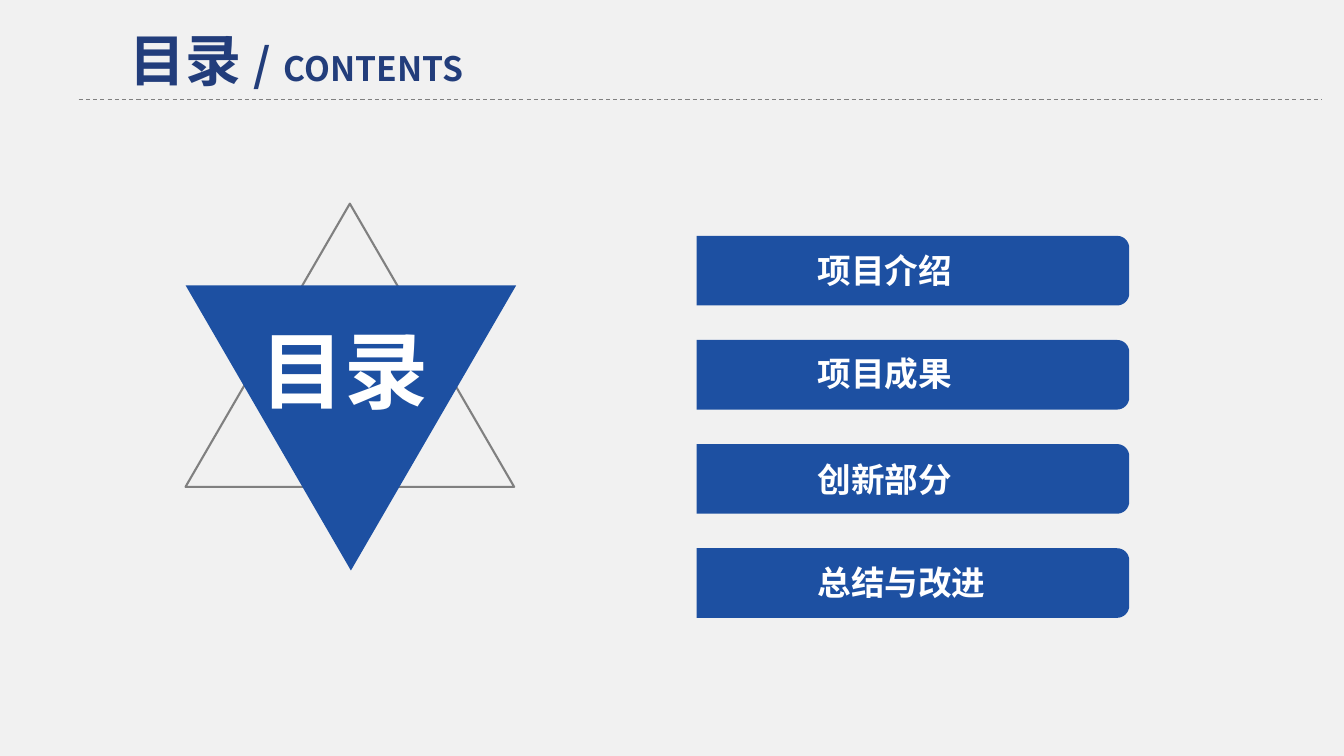
from dataclasses import dataclass
from math import cos, pi, sin

from pptx import Presentation
from pptx.dml.color import RGBColor
from pptx.enum.dml import MSO_LINE_DASH_STYLE as Dash
from pptx.enum.shapes import MSO_CONNECTOR as Connector, MSO_SHAPE as Preset
from pptx.enum.text import MSO_ANCHOR as Anchor, MSO_AUTO_SIZE as AutoSize, PP_ALIGN as Align
from pptx.oxml.ns import qn
from pptx.util import Inches, Pt

FONT = "Noto Sans CJK SC"
COLORS = {"background": "F1F1F1", "blue": "1D50A2", "navy": "223D7B",
          "gray": "808080", "white": "FFFFFF"}

BAR_LEFT, BAR_TOP, BAR_WIDTH, BAR_HEIGHT = 6.91, 2.34, 4.29, 0.69
BAR_PITCH, BAR_RADIUS, ARC_STEPS = 1.033, 0.12, 8


@dataclass
class Entry:
    label: str
    label_top: float
    label_width: float = 1.83


@dataclass
class Triangle:
    left: float
    top: float
    width: float
    height: float
    rotation: float = 0
    fill: str | None = None
    line: str | None = None


ENTRIES = [
    Entry("项目介绍", 2.43),
    Entry("项目成果", 3.45),
    Entry("创新部分", 4.5),
    Entry("总结与改进", 5.53, 2.18),
]
TRIANGLES = [
    Triangle(1.84, 2.02, 3.26, 2.81, line="gray"),
    Triangle(1.84, 2.83, 3.28, 2.83, rotation=180, fill="blue"),
]
TITLE_RUNS = [("目录 ", 40), ("/", 32), (" ", 40), ("CONTENTS", 24)]


def color(name: str) -> RGBColor:
    return RGBColor.from_string(COLORS[name])


def paint(shape, fill: str | None = None, line: str | None = None) -> None:
    shape.shadow.inherit = False
    if fill:
        shape.fill.solid()
        shape.fill.fore_color.rgb = color(fill)
    else:
        shape.fill.background()
    if line:
        shape.line.color.rgb = color(line)
        shape.line.width = Pt(1.5)
    else:
        shape.line.fill.background()


def add_run(paragraph, text: str, size: float, color_name: str) -> None:
    run = paragraph.add_run()
    run.text = text
    for name, value in {"name": FONT, "size": Pt(size), "bold": True}.items():
        setattr(run.font, name, value)
    run.font.color.rgb = color(color_name)
    properties = run.font._element
    east_asian = properties.makeelement(qn("a:ea"), {"typeface": FONT})
    properties.find(qn("a:latin")).addnext(east_asian)


def add_label(slide, left: float, top: float, width: float, height: float,
              text: str, size: float, align: Align) -> None:
    box = slide.shapes.add_textbox(Inches(left), Inches(top), Inches(width), Inches(height))
    box.text_frame.word_wrap = True
    box.text_frame.auto_size = AutoSize.SHAPE_TO_FIT_TEXT
    paragraph = box.text_frame.paragraphs[0]
    paragraph.alignment = align
    add_run(paragraph, text, size, "white")


def add_bar(slide, top: float) -> None:
    """Draw a bar whose two right corners are rounded."""
    right, bottom = BAR_LEFT + BAR_WIDTH, top + BAR_HEIGHT
    points = []
    for center_y, start in ((top + BAR_RADIUS, -pi / 2), (bottom - BAR_RADIUS, 0)):
        for step in range(ARC_STEPS + 1):
            angle = start + step / ARC_STEPS * pi / 2
            points.append((Inches(right - BAR_RADIUS + BAR_RADIUS * cos(angle)),
                           Inches(center_y + BAR_RADIUS * sin(angle))))
    points.append((Inches(BAR_LEFT), Inches(bottom)))
    builder = slide.shapes.build_freeform(Inches(BAR_LEFT), Inches(top))
    builder.add_line_segments(points, close=True)
    paint(builder.convert_to_shape(), fill="blue")


def add_title(slide) -> None:
    title = slide.shapes.title
    bounds = {"left": 1.18, "top": 0.2, "width": 3.72, "height": 0.77}
    for name, value in bounds.items():
        setattr(title, name, Inches(value))
    frame_format = {"word_wrap": False, "vertical_anchor": Anchor.TOP,
                    "auto_size": AutoSize.SHAPE_TO_FIT_TEXT}
    for name, value in frame_format.items():
        setattr(title.text_frame, name, value)
    paragraph = title.text_frame.paragraphs[0]
    paragraph.alignment = Align.LEFT
    for text, size in TITLE_RUNS:
        add_run(paragraph, text, size, "navy")


def add_rule(slide) -> None:
    rule = slide.shapes.add_connector(
        Connector.STRAIGHT, Inches(0.78), Inches(0.99), Inches(13.11), Inches(0.99))
    rule.line.color.rgb = color("gray")
    rule.line.width = Pt(0.75)
    rule.line.dash_style = Dash.DASH
    properties = rule._element.spPr
    properties.append(properties.makeelement(qn("a:effectLst"), {}))


def add_triangle(slide, item: Triangle) -> None:
    shape = slide.shapes.add_shape(
        Preset.ISOSCELES_TRIANGLE, Inches(item.left), Inches(item.top),
        Inches(item.width), Inches(item.height))
    shape.rotation = item.rotation
    paint(shape, item.fill, item.line)


def main() -> None:
    presentation = Presentation()
    presentation.slide_width = Inches(13.33)
    presentation.slide_height = Inches(7.5)
    slide = presentation.slides.add_slide(presentation.slide_layouts.get_by_name("Title Only"))
    slide.background.fill.solid()
    slide.background.fill.fore_color.rgb = color("background")

    # Heading
    add_title(slide)
    add_rule(slide)

    # Star emblem
    for item in TRIANGLES:
        add_triangle(slide, item)
    add_label(slide, 2.49, 3.11, 2.03, 1.11, "目录", 60, Align.LEFT)

    # Contents list
    for index, entry in enumerate(ENTRIES):
        add_bar(slide, BAR_TOP + index * BAR_PITCH)
        add_label(slide, 8.01, entry.label_top, entry.label_width, 0.5,
                  entry.label, 24, Align.JUSTIFY)

    presentation.save("out.pptx")


if __name__ == "__main__":
    main()
